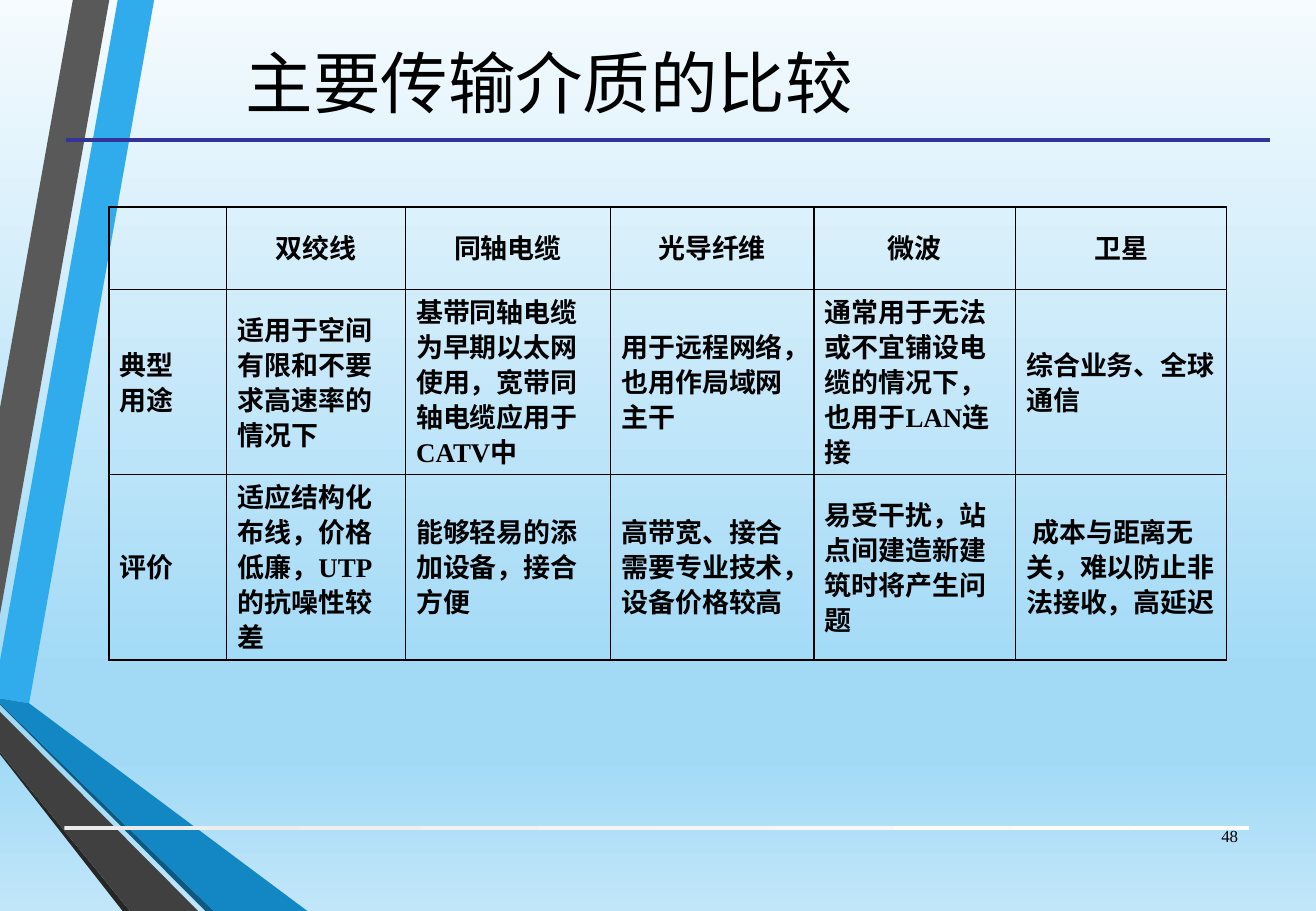
from lxml.etree import SubElement
from pptx import Presentation
from pptx.dml.color import RGBColor
from pptx.enum.shapes import MSO_CONNECTOR, MSO_SHAPE
from pptx.enum.text import MSO_ANCHOR, PP_ALIGN
from pptx.oxml.ns import qn
from pptx.util import Pt

FONT = "Times New Roman"
BLACK = "000000"
HANGING = 28

RIBBONS = [
    ("30ACEC", [(0, 391.7), (0, 414), (17.3, 416.9), (91.4, 0), (69.8, 0)]),
    ("595959", [(64.8, 0), (43.2, 0), (0, 241.9), (0, 364.3)]),
    ("262626", [(0, 445.7), (0, 447.1), (72.7, 540), (77, 540)]),
    ("0C5A82", [(0, 416.9), (0, 417.6), (121.7, 540), (126.7, 540)]),
    ("1287C3", [(0, 416.9), (126.7, 540), (182.2, 540), (17.3, 416.9), (0, 414)]),
    ("404040", [(0, 445.7), (77, 540), (117.4, 540), (0, 421.9)]),
]

COLUMN_WIDTHS = [69.8, 105.8, 121.7, 120.5, 119.5, 125.3]
ROW_HEIGHTS = [49, 109.4, 92.2]
MEDIA_ROWS = [
    ["", "双绞线", "同轴电缆", "光导纤维", "微波", "卫星"],
    ["典型\n用途", "适用于空间有限和不要求高速率的情况下",
     "基带同轴电缆为早期以太网使用，宽带同轴电缆应用于CATV中",
     "用于远程网络，也用作局域网主干",
     "通常用于无法或不宜铺设电缆的情况下，也用于LAN连接",
     "综合业务、全球通信"],
    ["评价", "适应结构化布线，价格低廉，UTP的抗噪性较差",
     "能够轻易的添加设备，接合方便",
     "高带宽、接合需要专业技术，设备价格较高",
     "易受干扰，站点间建造新建筑时将产生问题",
     " 成本与距离无关，难以防止非法接收，高延迟"],
]


def rgb(color):
    return RGBColor.from_string(color)


def set_gradient(fill, element, stops, angle):
    """Fill with (percent, colour) stops; the angle runs anticlockwise."""
    fill.gradient()
    fill.gradient_angle = angle
    stop_list = next(element.iter(qn("a:gsLst")))
    for old in list(stop_list):
        stop_list.remove(old)
    for percent, color in stops:
        gs = SubElement(stop_list, qn("a:gs"), pos=str(percent * 1000))
        SubElement(gs, qn("a:srgbClr"), val=color)


def format_text(tf, size, align, bold=False):
    tf.word_wrap = True
    tf.vertical_anchor = MSO_ANCHOR.MIDDLE
    for p in tf.paragraphs:
        p.alignment = align
        for r in p.runs:
            r.font.name = FONT
            r.font.size = Pt(size)
            r.font.bold = bold
            r.font.color.rgb = rgb(BLACK)


def place_title(s, text):
    title = s.shapes.title
    title.left, title.top, title.width, title.height = Pt(31), Pt(3.6), Pt(589), Pt(89.3)
    title.text_frame.text = text
    format_text(title.text_frame, 40, PP_ALIGN.CENTER)


def add_ribbon(s, color, points):
    corners = [(Pt(x), Pt(y)) for x, y in points]
    builder = s.shapes.build_freeform(*corners[0])
    builder.add_line_segments(corners[1:], close=True)
    sp = builder.convert_to_shape()
    sp.shadow.inherit = False
    sp.fill.solid()
    sp.fill.fore_color.rgb = rgb(color)
    sp.line.fill.background()


def add_footer_bar(s):
    sp = s.shapes.add_shape(MSO_SHAPE.RECTANGLE, Pt(38.2), Pt(489.6), Pt(702), Pt(2.2))
    sp.shadow.inherit = False
    set_gradient(sp.fill, sp._element, [(0, "EBEBEB"), (100, "FFFFFF")], 0)
    sp.line.fill.background()


def add_title_rule(s):
    rule = s.shapes.add_connector(MSO_CONNECTOR.STRAIGHT, Pt(38.9), Pt(82.8), Pt(753), Pt(82.8))
    rule.line.color.rgb = rgb("333399")
    rule.line.width = Pt(2.25)
    SubElement(rule._element.spPr, qn("a:effectLst"))


def add_borders(cell):
    tcPr = cell._tc.get_or_add_tcPr()
    for side in ("lnL", "lnR", "lnT", "lnB"):
        ln = SubElement(tcPr, qn(f"a:{side}"), w=str(Pt(1)))
        SubElement(SubElement(ln, qn("a:solidFill")), qn("a:srgbClr"), val=BLACK)


def fill_cell(cell, text, centred, hanging):
    add_borders(cell)
    cell.fill.background()
    cell.margin_left = cell.margin_right = Pt(6.5)
    cell.margin_top = cell.margin_bottom = Pt(3)
    cell.vertical_anchor = MSO_ANCHOR.MIDDLE
    tf = cell.text_frame
    tf.text = text
    format_text(tf, 16, PP_ALIGN.CENTER if centred else PP_ALIGN.LEFT, bold=True)
    for p in tf.paragraphs:
        p.line_spacing = 0.9
        if hanging:
            pPr = p._p.get_or_add_pPr()
            pPr.set("marL", str(Pt(HANGING)))
            pPr.set("indent", str(-Pt(HANGING)))


def add_media_table(s):
    table = s.shapes.add_table(len(ROW_HEIGHTS), len(COLUMN_WIDTHS), Pt(64.6), Pt(122.7),
                               Pt(sum(COLUMN_WIDTHS)), Pt(sum(ROW_HEIGHTS))).table
    table.first_row = table.horz_banding = False
    for column, width in zip(table.columns, COLUMN_WIDTHS):
        column.width = Pt(width)
    for row, height in zip(table.rows, ROW_HEIGHTS):
        row.height = Pt(height)
    for i, texts in enumerate(MEDIA_ROWS):
        for j, text in enumerate(texts):
            header = i == 0
            fill_cell(table.cell(i, j), text, header, header or text == "评价")


def add_page_number(s, number):
    tf = s.shapes.add_textbox(Pt(704.2), Pt(481), Pt(36.7), Pt(28.8)).text_frame
    tf.text = number
    format_text(tf, 10, PP_ALIGN.RIGHT)


def main():
    prs = Presentation()
    prs.slide_width, prs.slide_height = Pt(780), Pt(540)
    s = prs.slides.add_slide(prs.slide_layouts[5])
    set_gradient(s.background.fill, s._element,
                 [(0, "F5FBFE"), (74, "A2DAF6"), (83, "A2DAF6"), (100, "C1E6F9")], 270)
    place_title(s, "主要传输介质的比较")
    for color, points in RIBBONS:
        add_ribbon(s, color, points)
    add_footer_bar(s)
    add_title_rule(s)
    add_media_table(s)
    add_page_number(s, "48")
    prs.save("out.pptx")


if __name__ == "__main__":
    main()
